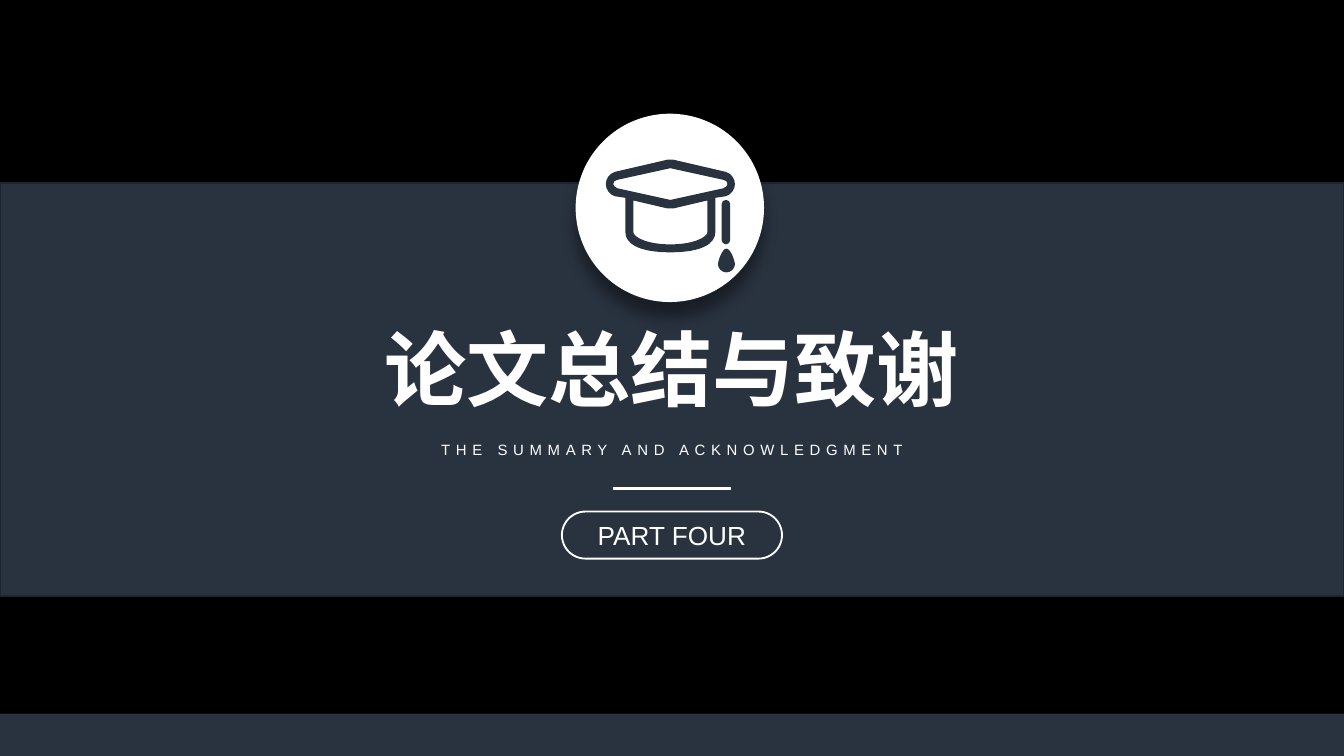
from lxml import etree
from pptx import Presentation
from pptx.dml.color import RGBColor
from pptx.enum.shapes import MSO_CONNECTOR, MSO_SHAPE
from pptx.enum.text import MSO_ANCHOR, MSO_AUTO_SIZE, PP_ALIGN
from pptx.oxml import parse_xml
from pptx.oxml.ns import nsdecls, qn
from pptx.util import Cm, Pt

RECT, OVAL, PILL = MSO_SHAPE.RECTANGLE, MSO_SHAPE.OVAL, MSO_SHAPE.ROUNDED_RECTANGLE
LINE = MSO_CONNECTOR.STRAIGHT
MID, TOP, MIDDLE = PP_ALIGN.CENTER, MSO_ANCHOR.TOP, MSO_ANCHOR.MIDDLE
GROW = MSO_AUTO_SIZE.SHAPE_TO_FIT_TEXT

BLACK = RGBColor(0x00, 0x00, 0x00)
WHITE = RGBColor(0xFF, 0xFF, 0xFF)
NAVY = RGBColor(0x29, 0x32, 0x3F)
EDGE = RGBColor(0x1E, 0x25, 0x2F)

# Content
HEAD = "论文总结与致谢"
SUB = "THE SUMMARY AND ACKNOWLEDGMENT"
PART = "PART FOUR"

# Icon in cm: (axis x, outlines); each outline is the right half, from top to
# bottom, as (offset, y) steps: one point is a line, three are a curve
ICON = [
    (12.67, [
        [[(0, 3.02)], [(0.06, 3.02)], [(1.05, 3.25)],
         [(1.15, 3.28), (1.22, 3.38), (1.22, 3.48)],
         [(1.22, 3.58), (1.15, 3.68), (1.05, 3.71)],
         [(0.85, 3.74)], [(0.85, 4.39)],
         [(0.85, 4.6), (0.61, 4.77), (0, 4.77)]],
        [[(0, 3.18)], [(1, 3.4)],
         [(1.05, 3.4), (1.08, 3.44), (1.08, 3.48)],
         [(1.08, 3.51), (1.05, 3.54), (1, 3.56)], [(0, 3.78)]],
        [[(0, 3.94)], [(0.06, 3.94)], [(0.7, 3.79)], [(0.7, 4.39)],
         [(0.7, 4.47), (0.47, 4.62), (0, 4.62)]],
    ]),
    (13.72, [
        [[(0, 3.78)], [(0.05, 3.78), (0.08, 3.81), (0.08, 3.86)],
         [(0.08, 4.54)], [(0.08, 4.58), (0.05, 4.62), (0, 4.62)]],
    ]),
    (13.73, [
        [[(0, 4.7)], [(0.08, 4.7), (0.16, 4.93), (0.16, 5)],
         [(0.16, 5.08), (0.08, 5.15), (0, 5.15)]],
    ]),
]

WIDE, HIGH = 25.4, 14.29
AXIS = WIDE / 2

deck = Presentation()
deck.slide_width, deck.slide_height = Cm(WIDE), Cm(HIGH)
slide = deck.slides.add_slide(deck.slide_layouts[5])
slide.background.fill.solid()
slide.background.fill.fore_color.rgb = BLACK
shapes = slide.shapes


def paint(shape, fill=None, line=None):
    shape.shadow.inherit = False
    if fill is None:
        shape.fill.background()
    else:
        shape.fill.solid()
        shape.fill.fore_color.rgb = fill
    if line is None:
        shape.line.fill.background()
    else:
        shape.line.color.rgb = line
        shape.line.width = Pt(1)
    return shape


def block(kind, box, fill=None, line=None):
    return paint(shapes.add_shape(kind, *map(Cm, box)), fill, line)


def write(shape, text, size, font="Arial", bold=False):
    para = shape.text_frame.paragraphs[0]
    para.alignment = MID
    run = para.add_run()
    run.text = text
    run.font.size, run.font.name, run.font.bold = Pt(size), font, bold
    run.font.color.rgb = WHITE
    return run


def fit(shape, anchor):
    frame = shape.text_frame
    frame.word_wrap, frame.auto_size = False, GROW
    frame.vertical_anchor = anchor


def mirror(half):
    """Return the steps that lead back up the left side."""
    back = []
    for last, step in zip(half[-2::-1], half[:0:-1]):
        way = step[-2::-1] + [last[-1]]
        back.append([(-x, y) for x, y in way])
    return back


def bend(shape, sizes):
    """Join each run of three line points into one curve."""
    lines = iter(list(shape.element.iter(qn("a:lnTo"))))
    for size in sizes:
        first, *rest = [next(lines) for _ in range(size)]
        if rest:
            first.tag = qn("a:cubicBezTo")
            for line in rest:
                first.append(line[0])
                line.getparent().remove(line)


def outline(home, axis, halves):
    pen, sizes = None, []
    for half in halves:
        steps = half + mirror(half)
        start, *loop = [(Cm(axis + x), Cm(y)) for step in steps for x, y in step]
        if pen is None:
            pen = home.build_freeform(*start)
        else:
            pen.move_to(*start)
        pen.add_line_segments(loop, close=True)
        sizes += [len(step) for step in steps[1:]]
    shape = pen.convert_to_shape()
    bend(shape, sizes)
    paint(shape, NAVY)


# Bands
block(RECT, (0, 13.49, WIDE, HIGH - 13.49), NAVY)
block(RECT, (0, 3.46, WIDE, 7.81), NAVY, EDGE)

# Disc with a soft shadow below
disc = block(OVAL, (10.88, 2.15, 3.56, 3.56), WHITE)
glow = disc.element.spPr.find(qn("a:effectLst"))
glow.append(parse_xml(
    f'<a:outerShdw {nsdecls("a")} blurRad="{Pt(8)}" dist="{Pt(8)}" dir="5400000" '
    'algn="t" rotWithShape="0"><a:srgbClr val="000000"><a:alpha val="40000"/>'
    '</a:srgbClr></a:outerShdw>'))

# Cap, cord and tassel
cap = shapes.add_group_shape()
for axis, halves in ICON:
    outline(cap.shapes, axis, halves)

# Title, brought in front of the bands
title = shapes.title
shapes.element.append(title.element)
title.left, title.top, title.width, title.height = map(Cm, (6.96, 5.9, 11.48, 2.13))
fit(title, TOP)
run = write(title, HEAD, 44, "Noto Sans CJK SC", True)
east = etree.SubElement(run.font._element, qn("a:ea"))
east.set("typeface", "Noto Sans CJK SC")

# Subtitle
sub = shapes.add_textbox(*map(Cm, (7.98, 8.2, 9.45, 0.61)))
fit(sub, TOP)
run = write(sub, SUB, 8)
run.font._element.set("spc", "300")

# Rule
rule = shapes.add_connector(LINE, Cm(AXIS - 1.12), Cm(9.23), Cm(AXIS + 1.12), Cm(9.23))
rule.line.color.rgb, rule.line.width = WHITE, Pt(1.5)
etree.SubElement(rule.element.spPr, qn("a:effectLst"))

# Part label
pill = block(PILL, (AXIS - 2.08, 9.67, 4.16, 0.89), line=WHITE)
pill.adjustments[0] = 0.5
pill.text_frame.vertical_anchor = MIDDLE
write(pill, PART, 14)

deck.save("out.pptx")
